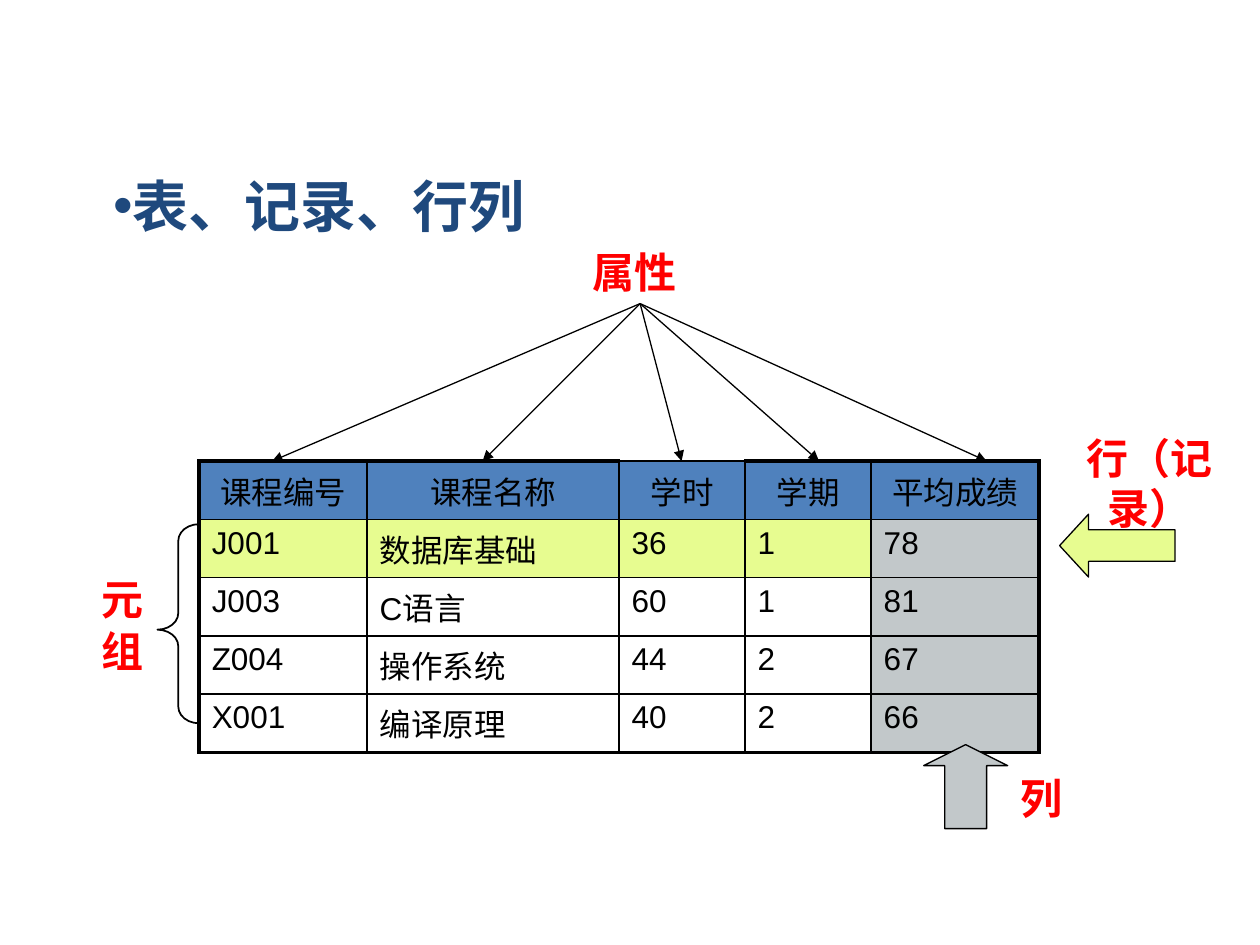
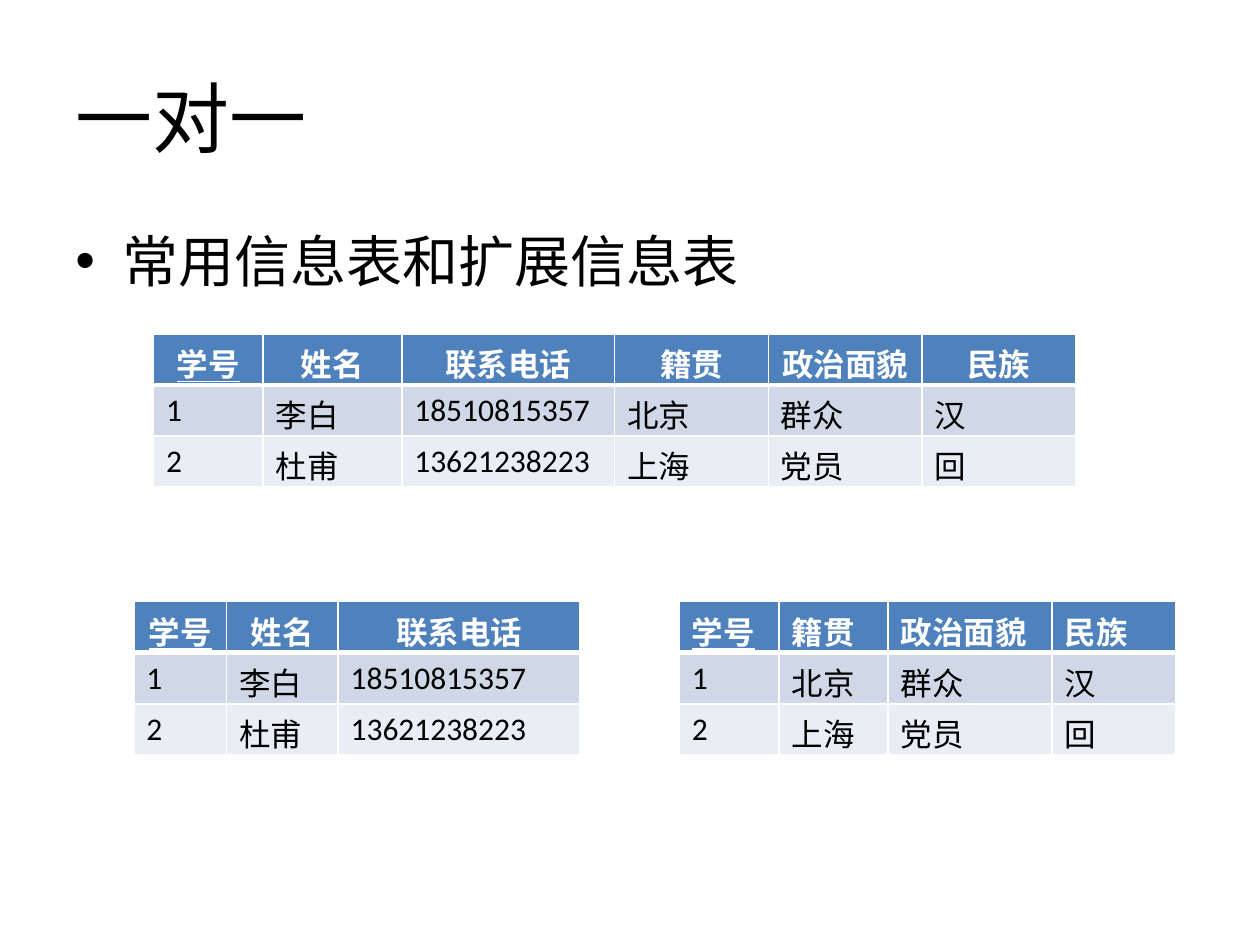
"""Builds two slides on table terms and one-to-one tables."""
from lxml.etree import SubElement as Sub
from pptx import Presentation
from pptx.dml.color import RGBColor as RGB
from pptx.enum.shapes import MSO_CONNECTOR as Link, MSO_SHAPE as Kind
from pptx.enum.text import MSO_ANCHOR as Anchor, PP_ALIGN as Align
from pptx.oxml.ns import qn
from pptx.util import Pt

BLACK = RGB(0, 0, 0)
WHITE = RGB(255, 255, 255)
RED = RGB(255, 0, 0)
NAVY = RGB(0x1F, 0x49, 0x7D)
BLUE = RGB(0x4F, 0x81, 0xBD)
LIME = RGB(0xE7, 0xFC, 0x90)
GRAY = RGB(0xC2, 0xC8, 0xCA)
BANDS = [RGB(0xD0, 0xD8, 0xE8), RGB(0xE9, 0xED, 0xF4)]
SANS, SERIF, BODY, HAN = "Arial", "Times New Roman", "Calibri", "Noto Sans CJK SC"

COURSES = [
    ["课程编号", "课程名称", "学时", "学期", "平均成绩"],
    ["J001", "数据库基础", "36", "1", "78"],
    ["J003", "C语言", "60", "1", "81"],
    ["Z004", "操作系统", "44", "2", "67"],
    ["X001", "编译原理", "40", "2", "66"],
]
WIDTHS = [96, 144, 72, 72, 96]
TOP = 263.5
HUB = (365.8, 173.5)
TIPS = [155.5, 275.8, 389.5, 468, 563.8]

PEOPLE = [
    ["学号", "姓名", "联系电话", "籍贯", "政治面貌", "民族"],
    ["1", "李白", "18510815357", "北京", "群众", "汉"],
    ["2", "杜甫", "13621238223", "上海", "党员", "回"],
]
VIEWS = [
    ((87.8, 190.8), [0, 1, 2, 3, 4, 5], [62.6, 79.2, 121.7, 87.8, 87.8, 87.8], Align.CENTER),
    ((76.5, 343.8), [0, 1, 2], [53, 63.7, 138.2], Align.CENTER),
    ((388.2, 343.8), [0, 3, 4, 5], [56.9, 62.4, 93.6, 70.6], Align.LEFT),
]


def style(para, font, size, color, bold=False, align=Align.LEFT):
    para.alignment = align
    for run in para.runs:
        face = run.font
        face.name, face.size, face.bold = font, Pt(size), bold
        face.color.rgb = color


def label(slide, text, box, font, size, color, bold=True, align=Align.LEFT,
          wrap=True, anchor=Anchor.TOP):
    frame = slide.shapes.add_textbox(*map(Pt, box)).text_frame
    frame.word_wrap, frame.vertical_anchor = wrap, anchor
    frame.text = text
    style(frame.paragraphs[0], font, size, color, bold, align)
    return frame


def bullet(frame, indent=0):
    props = frame.paragraphs[0]._p.get_or_add_pPr()
    props.set("marL", str(Pt(indent)))
    props.set("indent", str(-Pt(indent)))
    Sub(props, qn("a:buFont"), typeface=SANS)
    Sub(props, qn("a:buChar"), char="•")


def border(cell, color, sides):
    props = cell._tc.get_or_add_tcPr()
    for side, width in zip("LRTB", sides):
        line = Sub(props, qn("a:ln" + side), w=str(Pt(width)))
        Sub(Sub(line, qn("a:solidFill")), qn("a:srgbClr"), val=str(color))


def grid(slide, rows, spot, widths, height, paint):
    size = (sum(widths), height * len(rows))
    table = slide.shapes.add_table(len(rows), len(widths), *map(Pt, spot + size)).table
    for col, width in zip(table.columns, widths):
        col.width = Pt(width)
    for r, row in enumerate(rows):
        table.rows[r].height = Pt(height)
        for c, text in enumerate(row):
            cell = table.cell(r, c)
            cell.text = text
            paint(cell, r, c)


def fill(cell, color):
    cell.fill.solid()
    cell.fill.fore_color.rgb = color


def course(cell, r, c):
    last, end = len(COURSES) - 1, len(WIDTHS) - 1
    edges = (c == 0, c == end, r == 0 and c != 2, r == last)
    border(cell, BLACK, [2.25 if edge else 1 for edge in edges])
    if r == 0:
        fill(cell, BLUE)
    elif c == end:
        fill(cell, GRAY)
    elif r == 1:
        fill(cell, LIME)
    else:
        cell.fill.background()
    style(cell.text_frame.paragraphs[0], SANS, 18, BLACK,
          align=Align.LEFT if r else Align.CENTER)


def person(align):
    def paint(cell, r, c):
        border(cell, WHITE, (1, 1, 3 if r == 1 else 1, 1 if r else 3))
        fill(cell, BANDS[r - 1] if r else BLUE)
        para = cell.text_frame.paragraphs[0]
        if r:
            style(para, BODY, 18, BLACK)
        else:
            style(para, BODY, 18, WHITE, True, align)
            para.runs[0].font.underline = c == 0
    return paint


def figure(slide, kind, box, bends, width, color=None):
    shape = slide.shapes.add_shape(kind, *map(Pt, box))
    shape.shadow.inherit = False
    for i, bend in enumerate(bends):
        shape.adjustments[i] = bend
    if color is None:
        shape.fill.background()
    else:
        fill(shape, color)
    shape.line.color.rgb, shape.line.width = BLACK, Pt(width)


def arrow(slide, start, end):
    link = slide.shapes.add_connector(Link.STRAIGHT, *map(Pt, start + end))
    link.line.color.rgb, link.line.width = BLACK, Pt(0.75)
    Sub(link.line._get_or_add_ln(), qn("a:tailEnd"), type="triangle")
    Sub(link._element.spPr, qn("a:effectLst"))


def terms(slide):
    tuple_text = label(slide, "元 组", (43.9, 323.3, 43.2, 90), HAN, 24, RED)
    tuple_text._txBody.bodyPr.set("vert", "eaVert")
    figure(slide, Kind.LEFT_BRACE, (90, 299.5, 23.8, 113.8), (0.4, 0.53), 1)
    grid(slide, COURSES, (113.8, TOP), WIDTHS, 31.2, course)
    mid = dict(align=Align.CENTER, wrap=False, anchor=Anchor.MIDDLE)
    label(slide, "属性", (329.8, 137.5, 66, 36), SERIF, 24, RED, **mid)
    for tip in TIPS:
        arrow(slide, HUB, (tip, TOP))
    figure(slide, Kind.LEFT_ARROW, (605.5, 293.8, 66, 36), (0.5, 0.46), 0.75, LIME)
    label(slide, "行（记录）", (612, 257.8, 90, 36), SERIF, 24, RED, **mid)
    figure(slide, Kind.UP_ARROW, (527.8, 425.5, 48, 48), (0.5, 0.25), 0.75, GRAY)
    column = label(slide, "列", (576, 443.5, 36, 30), SANS, 24, RED)
    column.paragraphs[0].line_spacing = 0.8
    bullet(label(slide, "表、记录、行列", (57.6, 94.3, 653.8, 45.4), HAN, 32, NAVY))


def pairs(slide):
    label(slide, "一对一", (36, 21.6, 648, 90), BODY, 44, BLACK, False,
          anchor=Anchor.MIDDLE)
    bullet(label(slide, "常用信息表和扩展信息表", (36, 126, 648, 356.4),
                 BODY, 32, BLACK, False), 27)
    for spot, picks, widths, align in VIEWS:
        rows = [[row[i] for i in picks] for row in PEOPLE]
        grid(slide, rows, spot, widths, 29.2, person(align))


def main():
    deck = Presentation()
    deck.slide_width, deck.slide_height = Pt(720), Pt(540)
    for build in (terms, pairs):
        build(deck.slides.add_slide(deck.slide_layouts[6]))
    deck.save("out.pptx")


if __name__ == "__main__":
    main()
